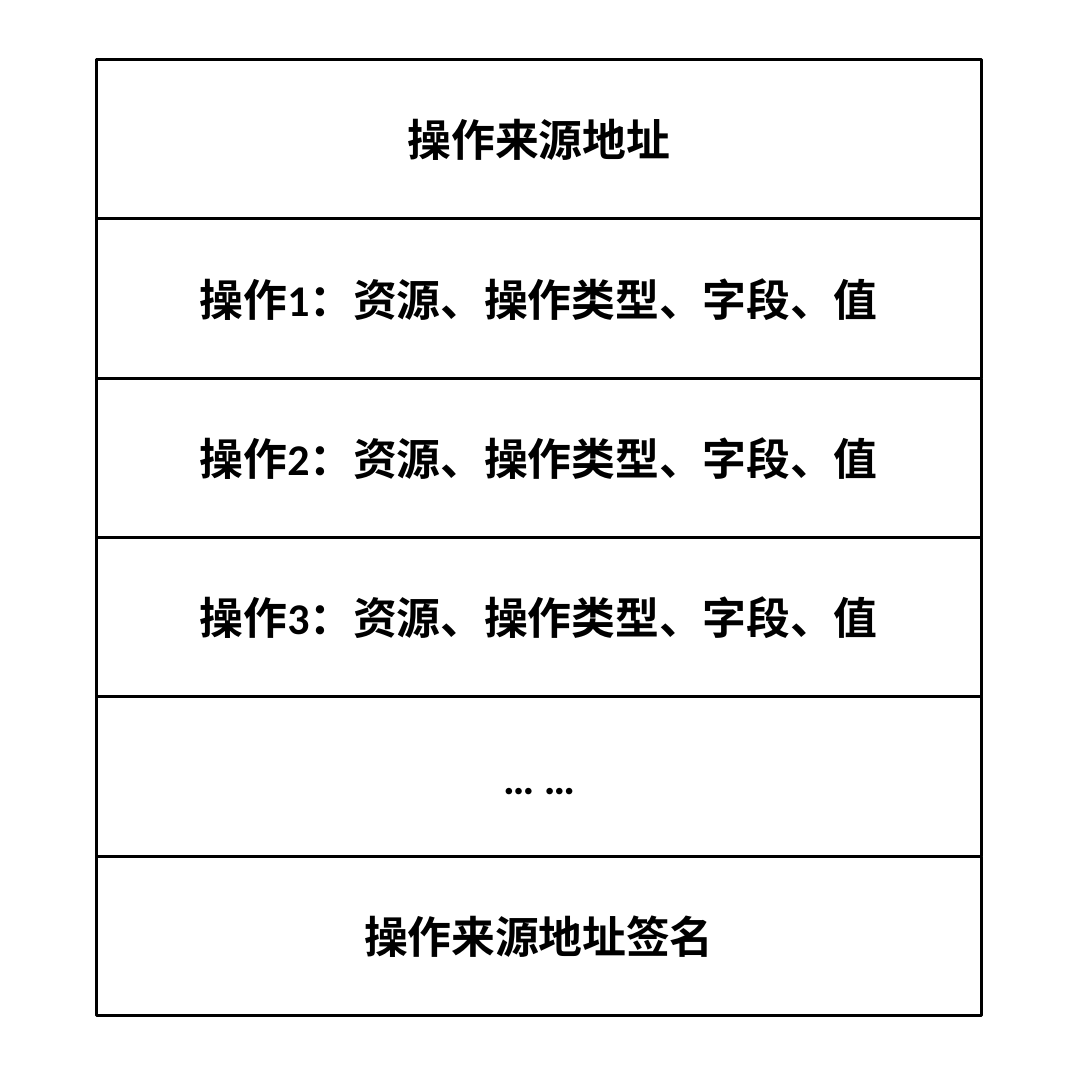
from dataclasses import dataclass

from pptx import Presentation
from pptx.dml.color import RGBColor
from pptx.enum.shapes import MSO_SHAPE
from pptx.enum.text import MSO_ANCHOR, PP_ALIGN
from pptx.slide import Slide
from pptx.util import Pt

SLIDE_WIDTH, SLIDE_HEIGHT = 393.12, 398.16
LEFT, TOP = 35.2, 21.7
ROW_WIDTH, ROW_HEIGHT = 322.8, 58.1
BLANK_LAYOUT = 6
FONT_FORMAT = {"name": "Calibri", "size": Pt(16), "bold": True}
FRAME_FORMAT = {"word_wrap": True, "vertical_anchor": MSO_ANCHOR.MIDDLE}


@dataclass(frozen=True)
class Field:
    text: str
    fill: str = "FFFFFF"
    ink: str = "000000"


def color(value: str) -> RGBColor:
    return RGBColor.from_string(value)


def apply_format(target: object, values: dict[str, object]) -> None:
    for name, value in values.items():
        setattr(target, name, value)


def draw_field(slide: Slide, field: Field, row: int) -> None:
    shape = slide.shapes.add_shape(
        MSO_SHAPE.RECTANGLE,
        Pt(LEFT), Pt(TOP + row * ROW_HEIGHT), Pt(ROW_WIDTH), Pt(ROW_HEIGHT),
    )
    shape.shadow.inherit = False
    shape.fill.solid()
    shape.fill.fore_color.rgb = color(field.fill)
    shape.line.color.rgb = color(field.ink)
    shape.line.width = Pt(1)
    apply_format(shape.text_frame, FRAME_FORMAT)
    paragraph = shape.text_frame.paragraphs[0]
    paragraph.alignment = PP_ALIGN.CENTER
    run = paragraph.add_run()
    run.text = field.text
    apply_format(run.font, FONT_FORMAT)
    run.font.color.rgb = color(field.ink)


def main() -> None:
    presentation = Presentation()
    presentation.slide_width = Pt(SLIDE_WIDTH)
    presentation.slide_height = Pt(SLIDE_HEIGHT)
    slide = presentation.slides.add_slide(presentation.slide_layouts[BLANK_LAYOUT])
    operations = [Field(f"操作{number}：资源、操作类型、字段、值") for number in range(1, 4)]
    fields = [Field("操作来源地址"), *operations, Field("… …"), Field("操作来源地址签名")]
    for row, field in enumerate(fields):
        draw_field(slide, field, row)
    presentation.save("out.pptx")


if __name__ == "__main__":
    main()
